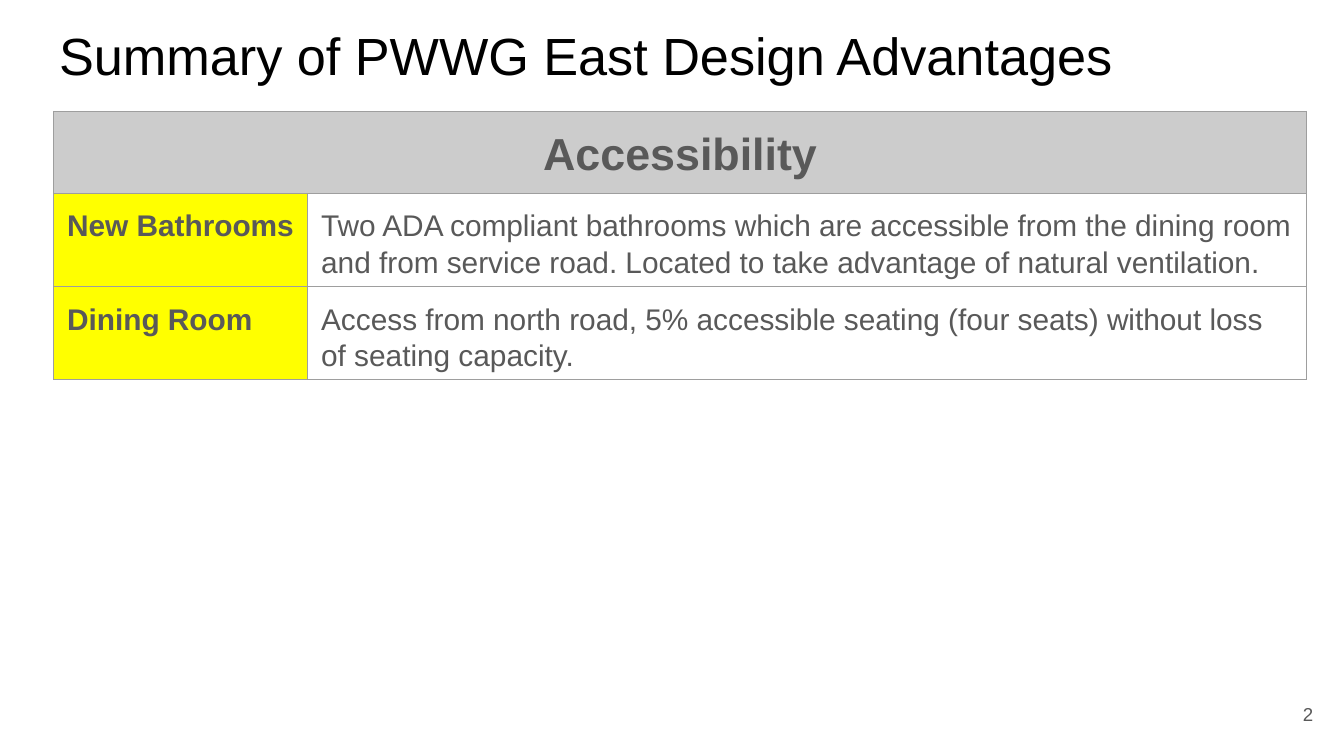
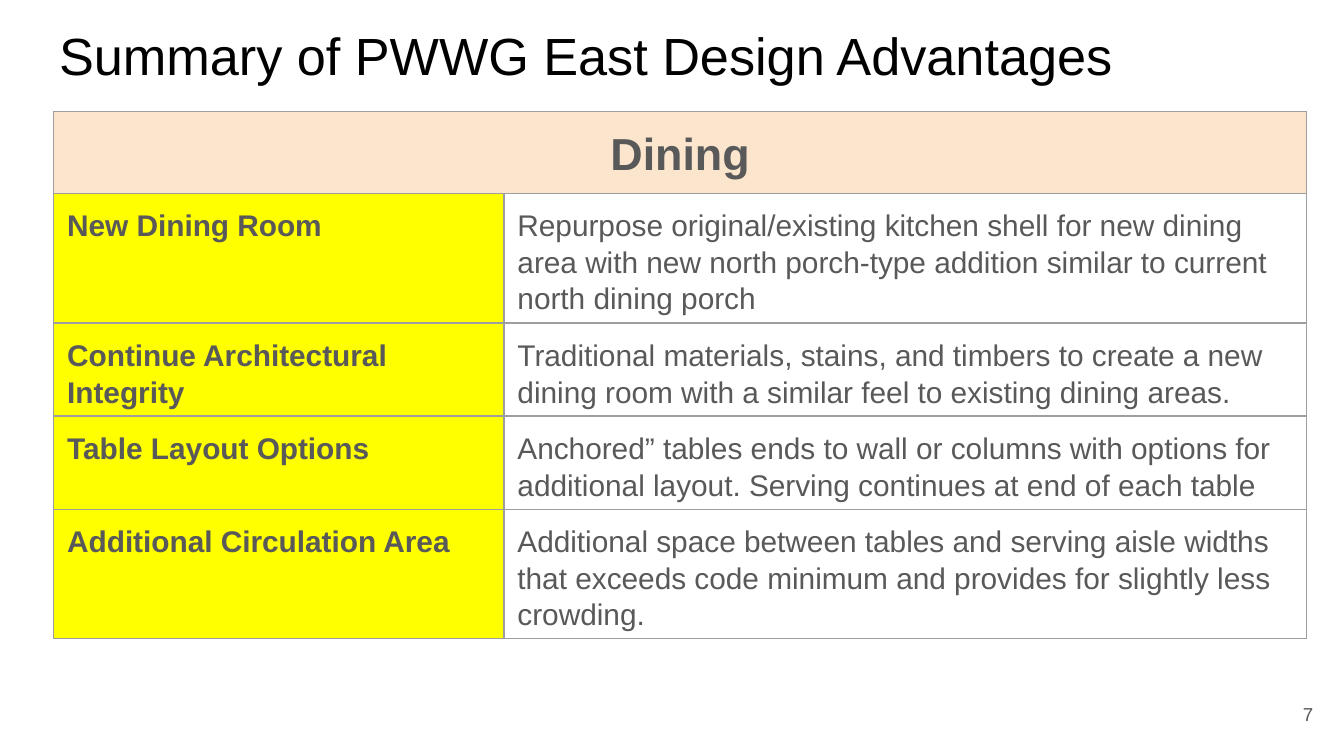
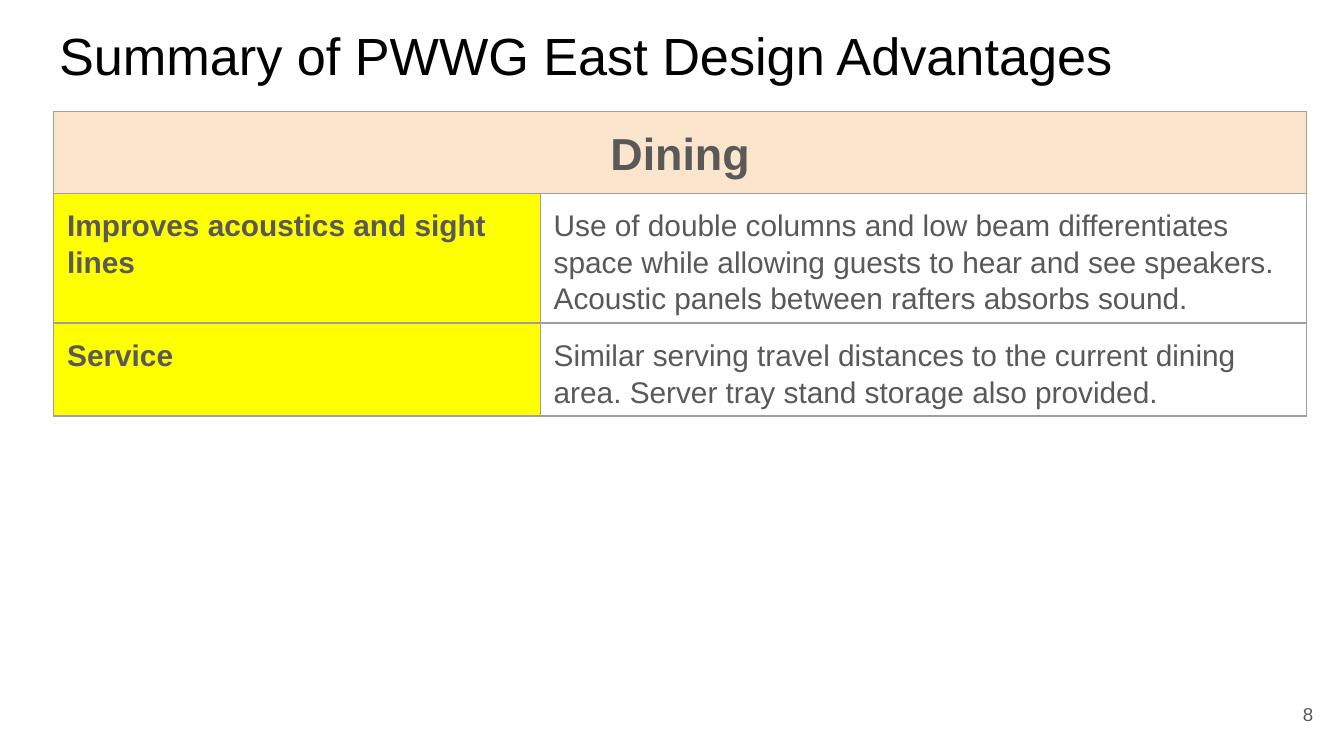
from dataclasses import dataclass

from lxml.etree import SubElement
from pptx import Presentation
from pptx.dml.color import RGBColor as Color
from pptx.enum.text import MSO_ANCHOR as Anchor, MSO_AUTO_SIZE as AutoSize, PP_ALIGN as Align
from pptx.oxml.ns import qn
from pptx.util import Inches, Pt


@dataclass(frozen=True)
class Theme:
    font: str = "Arial"
    title_ink: str = "000000"
    ink: str = "595959"
    paper: str = "FFFFFF"
    label_fill: str = "FFFF00"
    access_fill: str = "CCCCCC"
    dining_fill: str = "FCE5CD"
    border: str = "9E9E9E"
    title_size: int = 28
    heading_size: int = 24
    body_size: int = 16
    number_size: int = 10


THEME = Theme()
TITLE = "Summary of PWWG East Design Advantages"
TITLE_BOX = (0.34, 0.07, 9.32, 0.63)
TABLE_BOX = (0.4, 0.83, 9.32)
NUMBER_BOX = (9.27, 5.1, 0.6, 0.43)
HEADING_HEIGHT = 0.35
INSET = 0.1

SECTIONS = [
    (2, "Accessibility", THEME.access_fill, 1.89, [
        (0.52, "New Bathrooms",
         "Two ADA compliant bathrooms which are accessible from the dining room "
         "and from service road. Located to take advantage of natural ventilation."),
        (0.52, "Dining Room",
         "Access from north road, 5% accessible seating (four seats) without loss "
         "of seating capacity."),
    ]),
    (7, "Dining", THEME.dining_fill, 3.35, [
        (0.64, "New Dining Room",
         "Repurpose original/existing kitchen shell for new dining area with new "
         "north porch-type addition similar to current north dining porch"),
        (0.52, "Continue Architectural Integrity",
         "Traditional materials, stains, and timbers to create a new dining room "
         "with a similar feel to existing dining areas."),
        (0.68, "Table Layout Options",
         "Anchored” tables ends to wall or columns with options for additional "
         "layout. Serving continues at end of each table"),
        (0.52, "Additional Circulation Area",
         "Additional space between tables and serving aisle widths that exceeds "
         "code minimum and provides for slightly less crowding."),
    ]),
    (8, "Dining", THEME.dining_fill, 3.62, [
        (0.64, "Improves acoustics and sight lines",
         "Use of double columns and low beam differentiates space while allowing "
         "guests to hear and see speakers. Acoustic panels between rafters absorbs sound."),
        (0.52, "Service",
         "Similar serving travel distances to the current dining area. "
         "Server tray stand storage also provided."),
    ]),
]


def set_margins(holder, bottom=INSET):
    holder.margin_left = holder.margin_right = holder.margin_top = Inches(INSET)
    holder.margin_bottom = Inches(bottom)


def write(frame, text, size, color=THEME.ink, bold=False, align=Align.LEFT, spacing=1.0):
    frame.text = text
    para = frame.paragraphs[0]
    para.alignment = align
    para.line_spacing = spacing
    para.space_before = Pt(0)
    para.font.name = THEME.font
    para.font.size = Pt(size)
    para.font.bold = bold
    para.font.color.rgb = Color.from_string(color)


def set_borders(cell):
    properties = cell._tc.get_or_add_tcPr()
    for position, side in enumerate(("a:lnL", "a:lnR", "a:lnT", "a:lnB")):
        line = SubElement(properties, qn(side), w=str(Pt(0.75)))
        fill = SubElement(line, qn("a:solidFill"))
        SubElement(fill, qn("a:srgbClr"), val=THEME.border)
        properties.insert(position, line)


def fill_cell(cell, text, size, fill=None, bottom=0.05, **style):
    set_margins(cell, bottom)
    cell.vertical_anchor = Anchor.TOP
    write(cell.text_frame, text, size, spacing=1.1, **style)
    if fill:
        cell.fill.solid()
        cell.fill.fore_color.rgb = Color.from_string(fill)
    else:
        cell.fill.background()


def place_title(page, box):
    title = page.shapes.title
    title.left, title.top, title.width, title.height = map(Inches, box)
    frame = title.text_frame
    set_margins(frame)
    frame.word_wrap = True
    frame.auto_size = AutoSize.NONE
    frame.vertical_anchor = Anchor.TOP
    write(frame, TITLE, THEME.title_size, THEME.title_ink)


def place_table(page, box, heading, heading_fill, label_width, rows):
    left, top, width = box
    heights = [HEADING_HEIGHT] + [height for height, _, _ in rows]
    table = page.shapes.add_table(
        len(heights), 2, *map(Inches, (left, top, width, sum(heights)))).table
    table.first_row = table.horz_banding = False
    for column, column_width in zip(table.columns, (label_width, width - label_width)):
        column.width = Inches(column_width)
    for row, height in zip(table.rows, heights):
        row.height = Inches(height)
    table.cell(0, 0).merge(table.cell(0, 1))
    fill_cell(table.cell(0, 0), heading, THEME.heading_size, heading_fill, INSET,
              bold=True, align=Align.CENTER)
    for index, (_, label, detail) in enumerate(rows, 1):
        fill_cell(table.cell(index, 0), label, THEME.body_size, THEME.label_fill, bold=True)
        fill_cell(table.cell(index, 1), detail, THEME.body_size)
    for cell in table.iter_cells():
        set_borders(cell)


def place_number(page, box, number):
    frame = page.shapes.add_textbox(*map(Inches, box)).text_frame
    set_margins(frame)
    frame.word_wrap = True
    frame.vertical_anchor = Anchor.MIDDLE
    write(frame, str(number), THEME.number_size, align=Align.RIGHT)


def add_section(deck, number, heading, heading_fill, label_width, rows):
    page = deck.slides.add_slide(deck.slide_layouts[5])
    page.background.fill.solid()
    page.background.fill.fore_color.rgb = Color.from_string(THEME.paper)
    place_title(page, TITLE_BOX)
    place_table(page, TABLE_BOX, heading, heading_fill, label_width, rows)
    place_number(page, NUMBER_BOX, number)


def main():
    deck = Presentation()
    deck.slide_width = Inches(10)
    deck.slide_height = deck.slide_width * 9 // 16
    for section in SECTIONS:
        add_section(deck, *section)
    deck.save("out.pptx")


if __name__ == "__main__":
    main()
